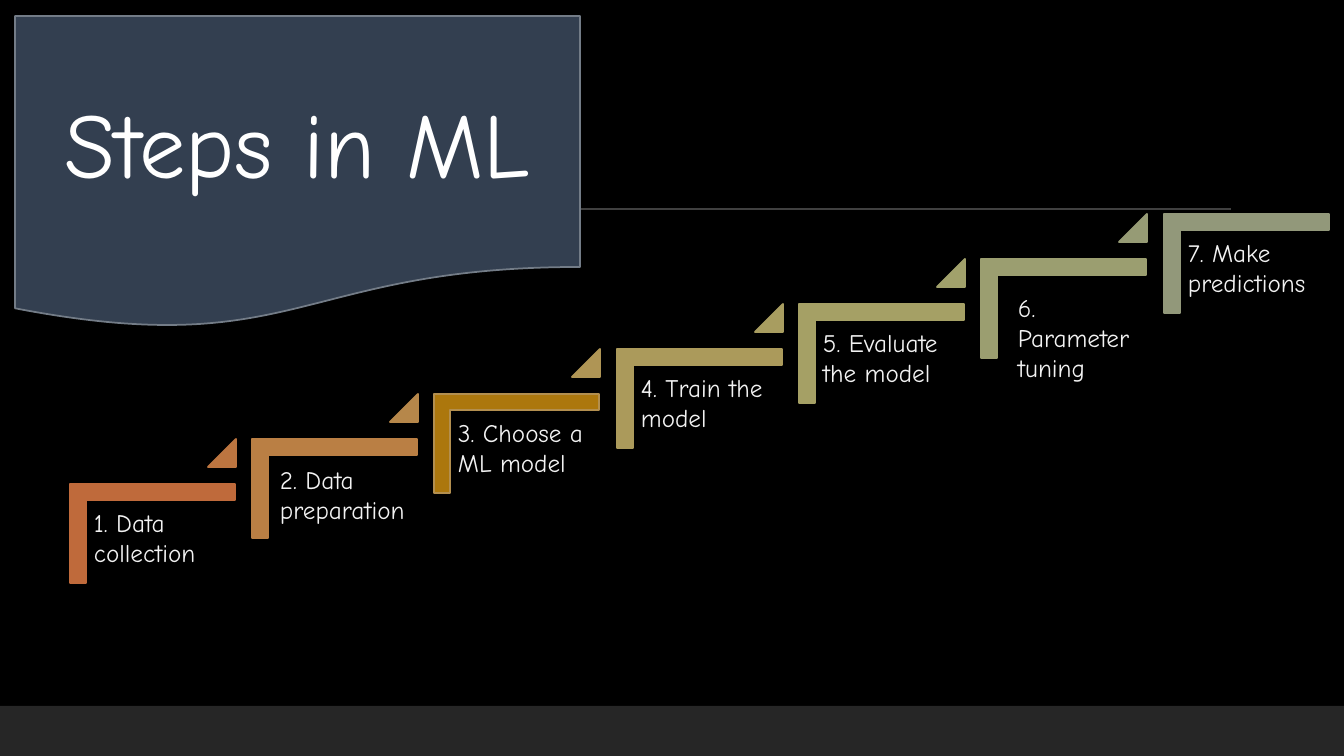
from dataclasses import dataclass

from lxml.etree import SubElement
from pptx import Presentation
from pptx.dml.color import RGBColor as Rgb
from pptx.enum.shapes import MSO_CONNECTOR as Conn, MSO_SHAPE as Geo
from pptx.enum.text import MSO_ANCHOR as Anchor, PP_ALIGN as Align
from pptx.oxml.ns import qn
from pptx.util import Emu, Pt


@dataclass(frozen=True)
class Theme:
    font: str = "Comic Neue"
    back: str = "000000"
    foot: str = "262626"
    rule: str = "404040"
    panel: str = "333F50"
    edge: str = "737C87"
    title: str = "FFFFFF"
    label: str = "F2F2F2"
    big: int = 66
    small: int = 18
    thin: float = 1
    stroke: float = 1.25


def px(n):
    return Emu(round(n * 914400 / 100.8))


class Board:
    def __init__(self, slide, theme):
        self.slide = slide
        self.theme = theme
        fill = slide.background.fill
        fill.solid()
        fill.fore_color.rgb = Rgb.from_string(theme.back)

    def shape(self, geo, box, fill, line=None, adj=(), turn=0):
        item = self.slide.shapes.add_shape(geo, *map(px, box))
        item.shadow.inherit = False
        item.rotation = turn
        item.fill.solid()
        item.fill.fore_color.rgb = Rgb.from_string(fill)
        if line:
            item.line.color.rgb = Rgb.from_string(line)
            item.line.width = Pt(self.theme.stroke)
        else:
            item.line.fill.background()
        for i, value in enumerate(adj):
            item.adjustments[i] = value
        return item

    def rule(self, left, right, top):
        line = self.slide.shapes.add_connector(
            Conn.STRAIGHT, px(left), px(top), px(right), px(top))
        line.line.color.rgb = Rgb.from_string(self.theme.rule)
        line.line.width = Pt(self.theme.thin)
        SubElement(line._element.spPr, qn("a:effectLst"))

    def words(self, item, text, size, color, align):
        frame = item.text_frame
        frame.word_wrap = True
        frame.text = text
        para = frame.paragraphs[0]
        para.alignment = align
        font = para.runs[0].font
        font.name = self.theme.font
        font.size = Pt(size)
        font.color.rgb = Rgb.from_string(color)
        return frame

    def label(self, box, text):
        item = self.slide.shapes.add_textbox(*map(px, box))
        look = self.theme
        frame = self.words(item, text, look.small, look.label, Align.LEFT)
        frame.margin_left = frame.margin_right = px(7)
        frame.margin_top = frame.margin_bottom = px(7)

    def title(self, box, text):
        look = self.theme
        item = self.shape(Geo.FLOWCHART_DOCUMENT, box, look.panel, look.edge)
        frame = self.words(item, text, look.big, look.title, Align.CENTER)
        frame.vertical_anchor = Anchor.MIDDLE

    def step(self, left, top, text, shift, fill, line, flag):
        """Draw a turned corner, its label and the triangle up to the next step."""
        self.shape(Geo.CORNER, (left, top, 99, 165), fill, line,
                   (0.16, 0.16), 90)
        self.label((left + shift[0], top + shift[1], 149, 130), text)
        if flag:
            self.shape(Geo.ISOSCELES_TRIANGLE, (left + 105, top - 12, 28, 28),
                       flag, flag, (1,))


NEAR = (-16, 49)
# Text, label shift, corner fill, corner line, triangle colour
STEPS = [
    ("1. Data collection", NEAR, "BF6A3B", "BF6A3B", "BC7540"),
    ("2. Data preparation", (-12, 51), "BA7F44", "BA7F44", "B6874A"),
    ("3. Choose a ML model", NEAR, "AC770D", "B38F4F", "AF9555"),
    ("4. Train the model", NEAR, "AB9A5B", "AB9A5B", "A89D60"),
    ("5. Evaluate the model", NEAR, "A5A065", "A5A065", "A1A16B"),
    ("6. Parameter tuning", (-3, 59), "9B9E70", "9B9E70", "969B75"),
    ("7. Make predictions", NEAR, "92987A", "92987A", None),
]


def main():
    deck = Presentation()
    deck.slide_width, deck.slide_height = px(1344), px(756)
    look = Theme()
    board = Board(deck.slides.add_slide(deck.slide_layouts[6]), look)
    board.shape(Geo.RECTANGLE, (0, 706, 1344, 50), look.foot)
    board.rule(132, 1231, 209)
    span = 1094
    for i, step in enumerate(STEPS):
        left = 103 + span * i // (len(STEPS) - 1)
        board.step(left, 451 - 45 * i, *step)
    board.title((15, 16, 565, 313), "Steps in ML")
    deck.save("out.pptx")


if __name__ == "__main__":
    main()
